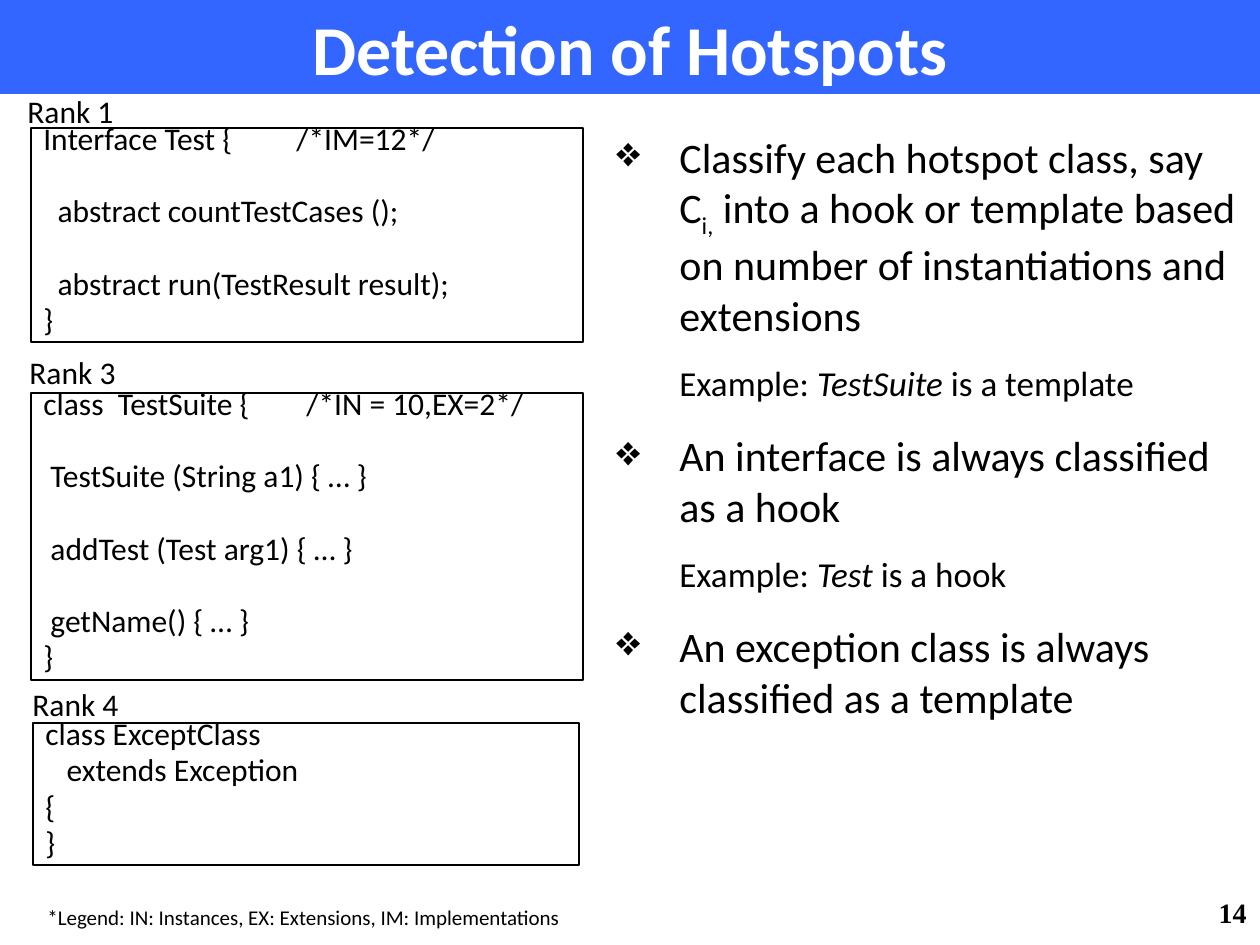
import lxml.etree
import pptx
import pptx.dml.color
import pptx.enum.shapes
import pptx.enum.text
import pptx.oxml.ns
import pptx.util

BLACK = pptx.dml.color.RGBColor(0x00, 0x00, 0x00)
WHITE = pptx.dml.color.RGBColor(0xFF, 0xFF, 0xFF)
BLUE = pptx.dml.color.RGBColor(0x33, 0x66, 0xFF)
LEFT = pptx.enum.text.PP_ALIGN.LEFT
CENTER = pptx.enum.text.PP_ALIGN.CENTER
RIGHT = pptx.enum.text.PP_ALIGN.RIGHT
TOP = pptx.enum.text.MSO_ANCHOR.TOP
MIDDLE = pptx.enum.text.MSO_ANCHOR.MIDDLE
PX = 914400 / 126


def px(length):
    return pptx.util.Emu(round(length * PX))


def add_child(parent, tag, **attributes):
    child = lxml.etree.SubElement(parent, pptx.oxml.ns.qn(tag))
    for name, value in attributes.items():
        child.set(name, str(value))
    return child


def write(paragraph, text, size=18, font="Calibri", color=BLACK, bold=False,
          italic=False, baseline=0):
    run = paragraph.add_run()
    run.text = text
    run.font.size = pptx.util.Pt(size)
    run.font.name = font
    run.font.color.rgb = color
    run.font.bold = bold
    run.font.italic = italic
    if baseline:
        run._r.get_or_add_rPr().set("baseline", str(baseline))


class HotspotSlide:
    code_spacing = 0.55
    line_gap = 8.8
    blank_line_gap = 29.4

    def __init__(self, deck):
        self.slide = deck.slides.add_slide(deck.slide_layouts[6])

    def prepare(self, shape, anchor=TOP):
        frame = shape.text_frame
        frame.word_wrap = True
        frame.vertical_anchor = anchor
        return frame

    def rectangle(self, left, top, width, height):
        shape = self.slide.shapes.add_shape(
            pptx.enum.shapes.MSO_SHAPE.RECTANGLE,
            px(left), px(top), px(width), px(height))
        shape.shadow.inherit = False
        return shape

    def banner(self, text, width, height):
        band = self.rectangle(0, 0, width, height)
        band.fill.solid()
        band.fill.fore_color.rgb = BLUE
        band.line.fill.background()
        title = self.prepare(band, MIDDLE).paragraphs[0]
        title.alignment = CENTER
        write(title, text, size=40, color=WHITE, bold=True)

    def label(self, text, left, top, width, height, align=LEFT, anchor=TOP, **style):
        box = self.slide.shapes.add_textbox(px(left), px(top), px(width), px(height))
        line = self.prepare(box, anchor).paragraphs[0]
        line.alignment = align
        write(line, text, **style)

    def code(self, source, left, top, width, height, comment_at=0):
        box = self.rectangle(left, top, width, height)
        box.fill.background()
        box.line.color.rgb = BLACK
        box.line.width = pptx.util.Pt(0.75)
        frame = self.prepare(box)
        line, gap = frame.paragraphs[0], 0
        for text in source.split("\n"):
            if not text:
                gap = self.blank_line_gap
                continue
            if gap:
                line = frame.add_paragraph()
                line.space_before = pptx.util.Pt(gap)
            elif comment_at:
                stops = add_child(line._p.get_or_add_pPr(), "a:tabLst")
                add_child(stops, "a:tab", pos=px(comment_at), algn="l")
            line.alignment = LEFT
            line.line_spacing = self.code_spacing
            write(line, text)
            gap = self.line_gap

    def points(self, items, left, top, width, height):
        box = self.slide.shapes.add_textbox(px(left), px(top), px(width), px(height))
        frame = self.prepare(box)
        for index, (level, pieces) in enumerate(items):
            point = frame.add_paragraph() if index else frame.paragraphs[0]
            point.level = level
            properties = point._p.get_or_add_pPr()
            properties.set("marL", str(px(63 * (level + 1))))
            properties.set("indent", str(px(-63)))
            if level == 0:
                bullet_color = add_child(properties, "a:buClr")
                add_child(bullet_color, "a:srgbClr", val=BLACK)
                add_child(properties, "a:buChar", char="❖")
            if index:
                point.space_before = pptx.util.Pt(12.5 if level else 15)
            for text, style in pieces:
                write(point, text, size=20 if level else 24, **style)


TEST_INTERFACE = """Interface Test {\t/*IM=12*/

  abstract countTestCases ();

  abstract run(TestResult result);
}"""

TEST_SUITE = """class  TestSuite {\t/*IN = 10,EX=2*/

 TestSuite (String a1) { … }

 addTest (Test arg1) { … }

 getName() { … }
}"""

EXCEPT_CLASS = """class ExceptClass
   extends Exception
{
}"""


def example(name, role):
    return (1, [("Example: ", {}), (name, {"italic": True}), (f" is a {role}", {})])


RULES = [
    (0, [("Classify each hotspot class, say C", {}),
         ("i,", {"baseline": -25000}),
         (" into a hook or template based on number of instantiations and extensions", {})]),
    example("TestSuite", "template"),
    (0, [("An interface is always classified as a hook", {})]),
    example("Test", "hook"),
    (0, [("An exception class is always classified as a template", {})]),
]


def main():
    deck = pptx.Presentation()
    deck.slide_width = px(1260)
    deck.slide_height = px(945)
    page = HotspotSlide(deck)
    page.banner("Detection of Hotspots", 1260, 94)
    page.points(RULES, 604, 125, 644, 718)
    for rank, left, top in ((1, 14, 86), (3, 16, 347), (4, 19, 679)):
        page.label(f"Rank {rank}", left, top, 113, 50, align=CENTER)
    page.code(TEST_INTERFACE, 31, 128, 552, 214, comment_at=253)
    page.code(TEST_SUITE, 31, 393, 552, 287, comment_at=263)
    page.code(EXCEPT_CLASS, 33, 723, 546, 142)
    page.label("*Legend: IN: Instances, EX: Extensions, IM: Implementations",
               35, 898, 544, 38, size=12)
    page.label("14", 997, 881, 262, 63, align=RIGHT, anchor=MIDDLE,
               size=16, font="Times New Roman", bold=True)
    deck.save("out.pptx")


if __name__ == "__main__":
    main()
